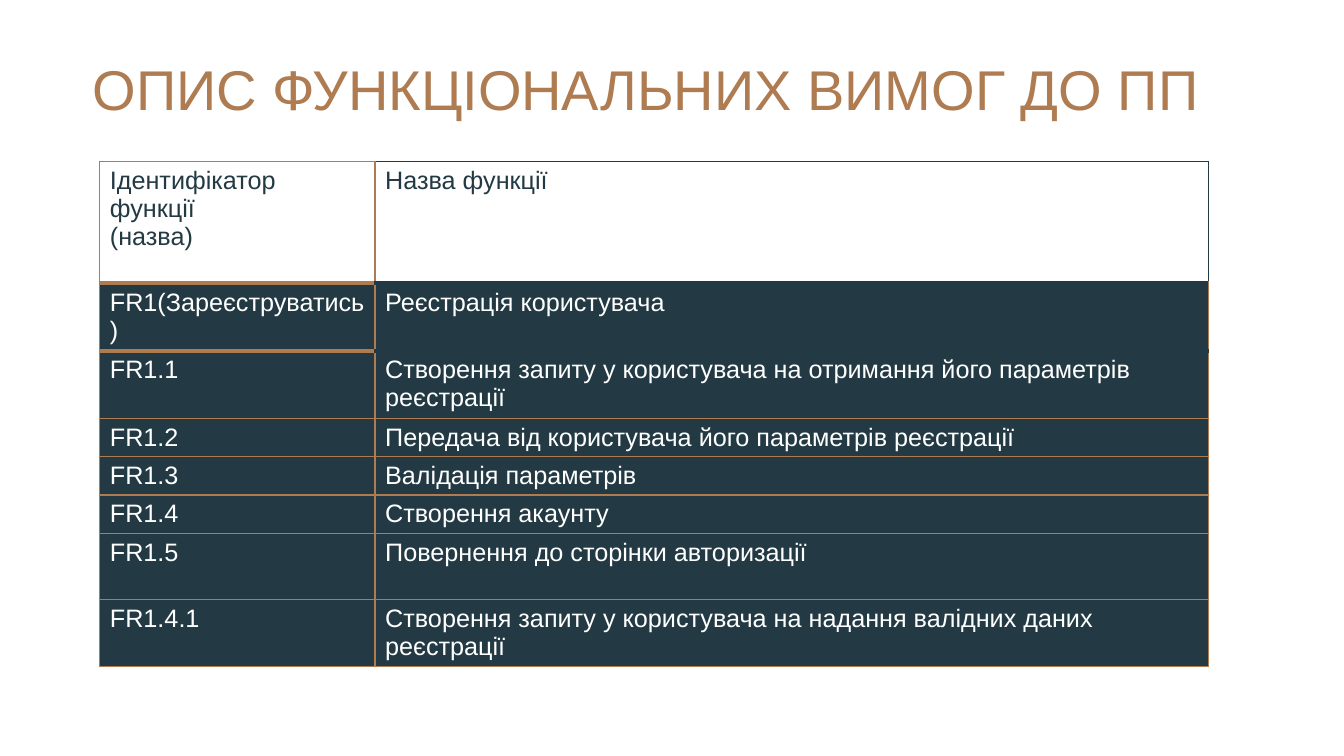
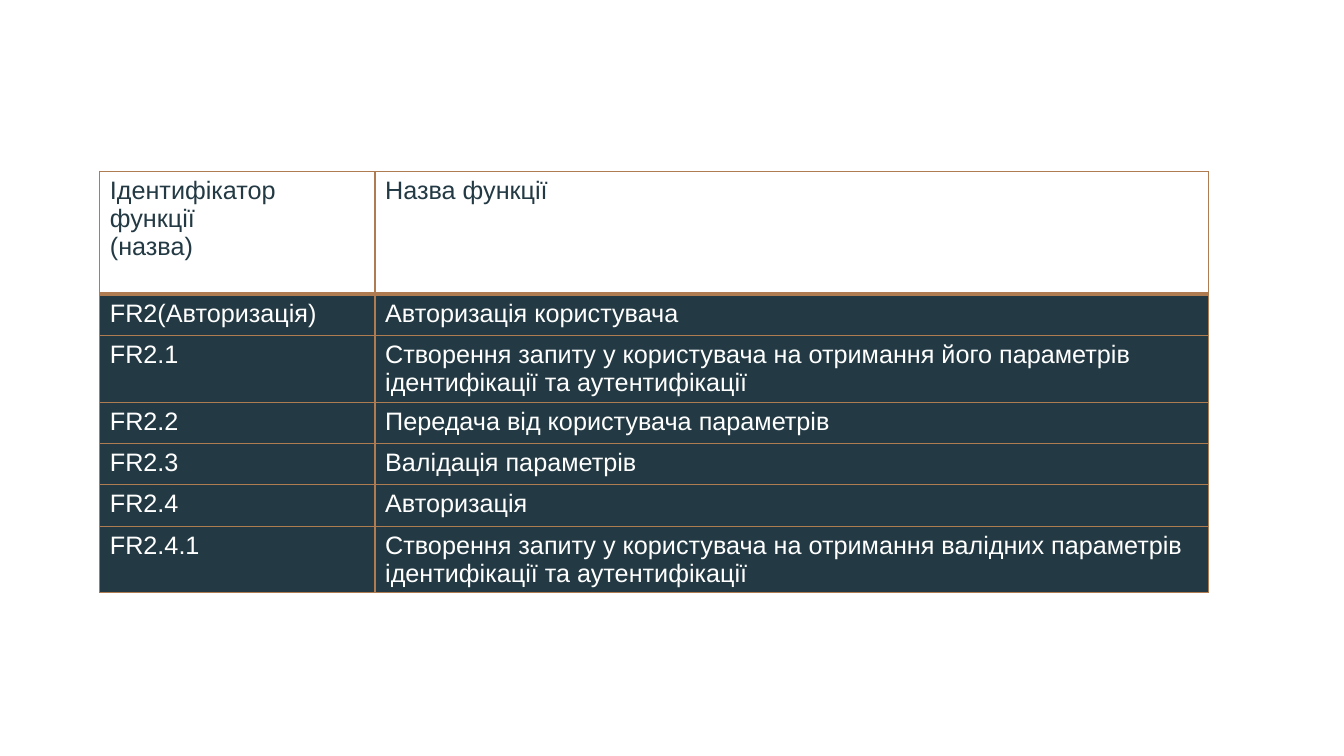
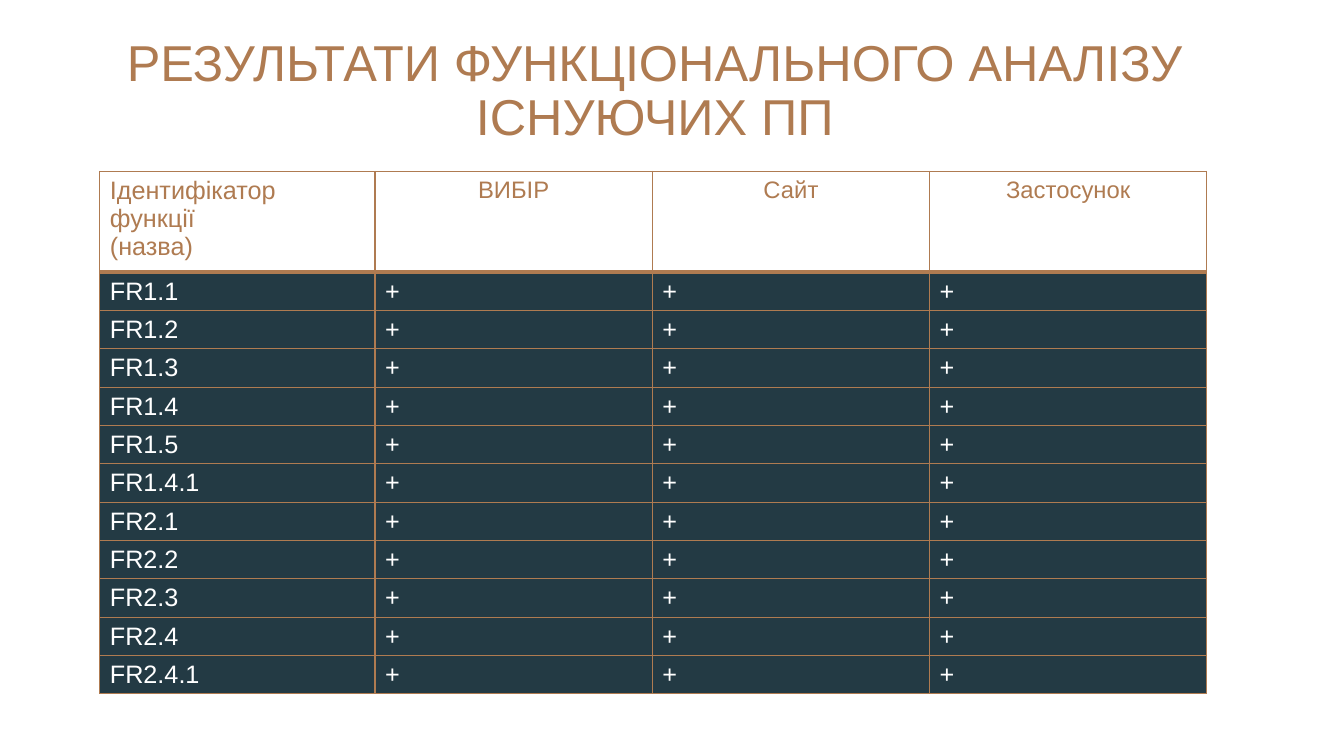
"""Builds three slides of functional requirement tables."""
import dataclasses
import typing

import lxml.etree
import pptx
import pptx.dml.color
import pptx.enum.text
import pptx.oxml.ns
import pptx.util

Inches = pptx.util.Inches
Pt = pptx.util.Pt
ALIGN = pptx.enum.text.PP_ALIGN

FONT = "Arial"
BRONZE = "AF7B51"
NAVY = "233A44"
WHITE = "FFFFFF"
TITLE_ONLY, BLANK = 5, 6
TABLE_LEFT = 0.99
ID_HEADING = "Ідентифікатор\nфункції\n(назва)"
FUNCTION_HEADINGS = (ID_HEADING, "Назва функції")
FUNCTION_COLS = (2.73, 8.27)


class Edge(typing.NamedTuple):
    colour: str
    width: float


THIN = Edge(BRONZE, 1)
THICK = Edge(BRONZE, 3)
NAVY_THIN = Edge(NAVY, 1)
NAVY_THICK = Edge(NAVY, 3)


@dataclasses.dataclass
class Title:
    text: str
    size: float
    align: ALIGN = ALIGN.LEFT


@dataclasses.dataclass
class Grid:
    top: float
    cols: typing.Sequence[float]
    heights: typing.Sequence[float]
    rows: typing.Sequence[typing.Sequence[str]]
    header_colour: str = NAVY
    label_size: float = 18
    label_align: ALIGN = ALIGN.LEFT
    edges: dict[tuple[str, int, int], Edge] = dataclasses.field(default_factory=dict)

    def edge(self, axis: str, line: int, place: int) -> Edge:
        """Return the edge on a grid line; the line under the header is thick."""
        usual = THICK if (axis, line) == ("H", 1) else THIN
        return self.edges.get((axis, line, place), usual)


def rgb(colour: str) -> pptx.dml.color.RGBColor:
    """Turn a hex string into a colour."""
    return pptx.dml.color.RGBColor.from_string(colour)


def style_text(tf, size: float, colour: str, align: ALIGN) -> None:
    """Format every paragraph and run of a text frame."""
    for p in tf.paragraphs:
        p.alignment = align
        for r in p.runs:
            r.font.name = FONT
            r.font.size = Pt(size)
            r.font.bold = False
            r.font.color.rgb = rgb(colour)


def add_title(s, title: Title) -> None:
    """Place and format the title placeholder."""
    sp = s.shapes.title
    sp.left, sp.top, sp.width, sp.height = map(Inches, (0.82, 0.53, 11.35, 0.77))
    tf = sp.text_frame
    tf.text = title.text
    tf.word_wrap = True
    tf.auto_size = pptx.enum.text.MSO_AUTO_SIZE.NONE
    tf.vertical_anchor = pptx.enum.text.MSO_ANCHOR.MIDDLE
    tf.paragraphs[0].line_spacing = 0.9
    style_text(tf, title.size, BRONZE, title.align)


def set_border(cell, side: str, edge: Edge) -> None:
    """Draw one side of a cell."""
    qn = pptx.oxml.ns.qn
    tc_pr = cell._tc.get_or_add_tcPr()
    ln = lxml.etree.SubElement(tc_pr, qn(f"a:ln{side}"), w=str(Pt(edge.width)))
    fill = lxml.etree.SubElement(ln, qn("a:solidFill"))
    lxml.etree.SubElement(fill, qn("a:srgbClr"), val=edge.colour)


def fill_cell(cell, grid: Grid, row: int, col: int) -> None:
    """Write, colour and outline one cell."""
    header = row == 0
    label = header and col > 0
    cell.text_frame.text = grid.rows[row][col]
    style_text(
        cell.text_frame,
        grid.label_size if label else 18,
        grid.header_colour if header else WHITE,
        grid.label_align if label else ALIGN.LEFT,
    )
    set_border(cell, "L", grid.edge("V", col, row))
    set_border(cell, "R", grid.edge("V", col + 1, row))
    set_border(cell, "T", grid.edge("H", row, col))
    set_border(cell, "B", grid.edge("H", row + 1, col))
    cell.fill.solid()
    cell.fill.fore_color.rgb = rgb(WHITE if header else NAVY)


def add_grid(s, grid: Grid) -> None:
    """Add a table and fill its cells."""
    table = s.shapes.add_table(
        len(grid.rows), len(grid.cols),
        Inches(TABLE_LEFT), Inches(grid.top),
        Inches(sum(grid.cols)), Inches(sum(grid.heights)),
    ).table
    table.horz_banding = False
    for column, width in zip(table.columns, grid.cols):
        column.width = Inches(width)
    for row, height in enumerate(grid.heights):
        table.rows[row].height = Inches(height)
        for col in range(len(grid.cols)):
            fill_cell(table.cell(row, col), grid, row, col)


def add_slide(prs, grid: Grid, title: Title | None = None) -> None:
    """Add a slide with a table and, if given, a title."""
    s = prs.slides.add_slide(prs.slide_layouts[TITLE_ONLY if title else BLANK])
    if title:
        add_title(s, title)
    add_grid(s, grid)


REGISTRATION = Grid(
    top=1.6,
    cols=FUNCTION_COLS,
    heights=(1.21, 0.67, 0.67, 0.38, 0.38, 0.38, 0.66, 0.66),
    rows=(
        FUNCTION_HEADINGS,
        ("FR1(Зареєструватись)", "Реєстрація користувача"),
        ("FR1.1", "Створення запиту у користувача на отримання його параметрів\nреєстрації"),
        ("FR1.2", "Передача від користувача його параметрів реєстрації"),
        ("FR1.3", "Валідація параметрів"),
        ("FR1.4", "Створення акаунту"),
        ("FR1.5", "Повернення до сторінки авторизації"),
        ("FR1.4.1", "Створення запиту у користувача на надання валідних даних реєстрації"),
    ),
    edges={
        ("H", 0, 1): NAVY_THIN,
        ("V", 2, 0): NAVY_THIN,
        ("H", 1, 1): NAVY_THICK,
        ("H", 2, 0): THICK,
        ("H", 2, 1): NAVY_THICK,
    },
)

AUTHORISATION = Grid(
    top=1.7,
    cols=FUNCTION_COLS,
    heights=(1.22, 0.41, 0.66, 0.41, 0.41, 0.41, 0.66),
    rows=(
        FUNCTION_HEADINGS,
        ("FR2(Авторизація)", "Авторизація користувача"),
        ("FR2.1", "Створення запиту у користувача на отримання його параметрів\n"
                  "ідентифікації та аутентифікації"),
        ("FR2.2", "Передача від користувача параметрів"),
        ("FR2.3", "Валідація параметрів"),
        ("FR2.4", "Авторизація"),
        ("FR2.4.1", "Створення запиту у користувача на отримання валідних параметрів\n"
                    "ідентифікації та аутентифікації"),
    ),
)

COMPARED = ("FR1.1", "FR1.2", "FR1.3", "FR1.4", "FR1.5", "FR1.4.1",
            "FR2.1", "FR2.2", "FR2.3", "FR2.4", "FR2.4.1")

COMPARISON = Grid(
    top=1.7,
    cols=(2.73, 2.75, 2.75, 2.75),
    heights=(1, *[0.38] * len(COMPARED)),
    rows=((ID_HEADING, "ВИБІР", "Сайт", "Застосунок"),
          *((name, "+", "+", "+") for name in COMPARED)),
    header_colour=BRONZE,
    label_size=17,
    label_align=ALIGN.CENTER,
)


def main() -> None:
    """Build and save the presentation."""
    prs = pptx.Presentation()
    prs.slide_width, prs.slide_height = Inches(13.33), Inches(7.5)
    add_slide(prs, REGISTRATION, Title("ОПИС ФУНКЦІОНАЛЬНИХ ВИМОГ ДО ПП", 40))
    add_slide(prs, AUTHORISATION)
    add_slide(prs, COMPARISON, Title(
        "РЕЗУЛЬТАТИ ФУНКЦІОНАЛЬНОГО АНАЛІЗУ ІСНУЮЧИХ ПП", 36, ALIGN.CENTER))
    prs.save("out.pptx")


if __name__ == "__main__":
    main()
